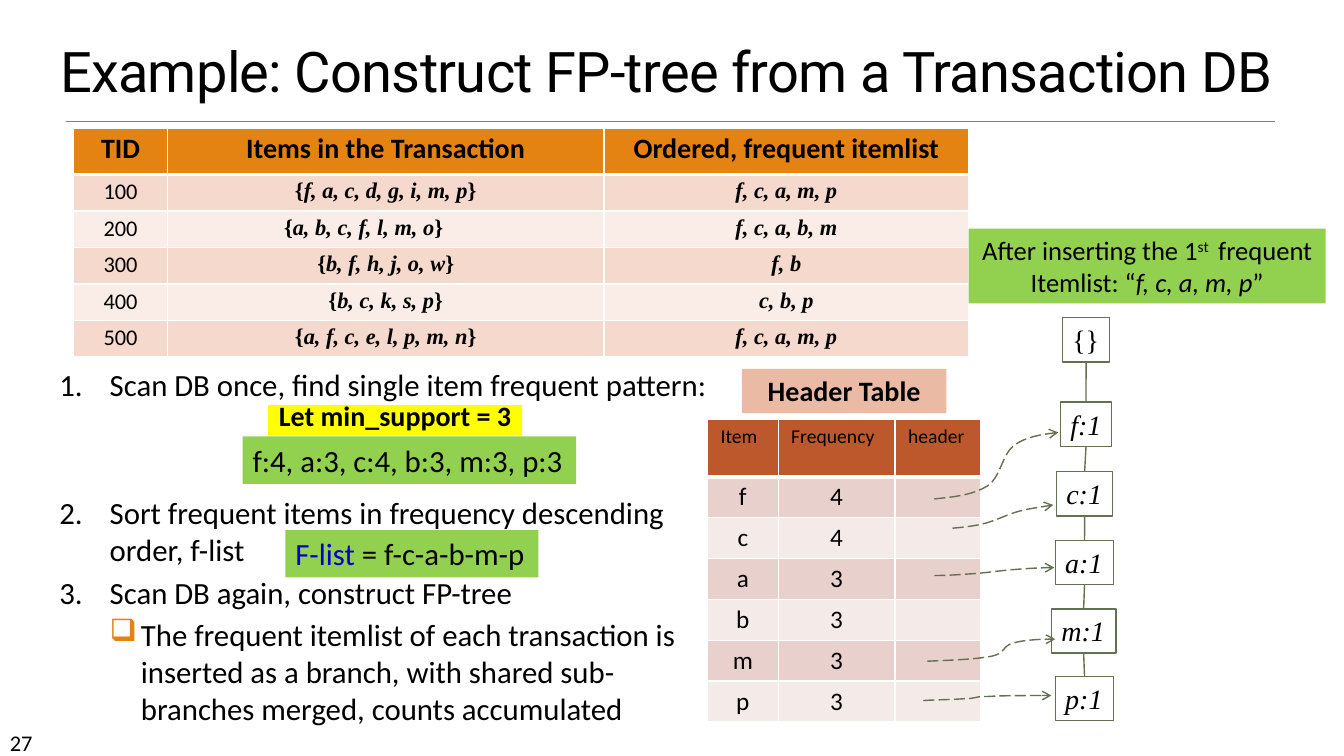
import lxml.etree
import pptx
import pptx.dml.color
import pptx.enum.dml
import pptx.enum.shapes
import pptx.enum.text
import pptx.oxml.ns
import pptx.util

Pt = pptx.util.Pt
qn = pptx.oxml.ns.qn
add_xml = lxml.etree.SubElement
CENTER = pptx.enum.text.PP_ALIGN.CENTER
RECTANGLE = pptx.enum.shapes.MSO_SHAPE.RECTANGLE
STRAIGHT = pptx.enum.shapes.MSO_CONNECTOR.STRAIGHT
SERIF = "Times New Roman"
GREEN, TREE_LINE = "92D050", "637052"


def colour(value):
    return pptx.dml.color.RGBColor.from_string(value)


def write(para, text, size=20, font="Calibri", color="000000", bold=False, italic=False):
    span = para.add_run()
    span.text = text
    span.font.size = Pt(size)
    span.font.name = font
    span.font.bold = bold
    span.font.italic = italic
    span.font.color.rgb = colour(color)
    return span


deck = pptx.Presentation()
deck.slide_width, deck.slide_height = Pt(960), Pt(540)
page = deck.slides.add_slide(deck.slide_layouts[6])
shapes = page.shapes

rule = shapes.add_connector(STRAIGHT, Pt(46.8), Pt(86.6), Pt(910.8), Pt(86.6))
rule.line.color.rgb = colour("808080")
rule.line.width = Pt(0.5)
add_xml(rule._element.spPr, qn("a:effectLst"))

number = shapes.add_textbox(Pt(0), Pt(517), Pt(84), Pt(21.6))
number.text_frame.word_wrap = True
write(number.text_frame.paragraphs[0], "27", size=16)

title = shapes.add_textbox(Pt(15.8), Pt(23.8), Pt(920), Pt(54))
title.text_frame.word_wrap = True
title.text_frame.vertical_anchor = pptx.enum.text.MSO_ANCHOR.BOTTOM
para = title.text_frame.paragraphs[0]
para.alignment = CENTER
para.line_spacing = 0.85
span = write(para, "Example: Construct FP-tree from a Transaction DB", size=40, font="Roboto")
span._r.get_or_add_rPr().set("spc", "-50")

steps = shapes.add_textbox(Pt(35.3), Pt(257.8), Pt(478), Pt(277))
steps.text_frame.word_wrap = True
step_texts = [
    ("Scan DB once, find single item frequent pattern:", 4, True),
    ("Sort frequent items in frequency descending order, f-list", 65, True),
    ("Scan DB again, construct FP-tree", 4, True),
    ("The frequent itemlist of each transaction is inserted as a branch, "
     "with shared sub-branches merged, counts accumulated", 4, False),
]
for index, (text, gap, numbered) in enumerate(step_texts):
    para = steps.text_frame.add_paragraph() if index else steps.text_frame.paragraphs[0]
    para.space_before = Pt(gap)
    para.level = 0 if numbered else 1
    write(para, text, size=22)
    props = para._p.get_or_add_pPr()
    props.set("marL", str(Pt(36 if numbered else 58.3)))
    props.set("indent", str(Pt(-36 if numbered else -22.3)))
    if numbered:
        add_xml(props, qn("a:buAutoNum"), type="arabicPeriod")
    else:
        add_xml(add_xml(props, qn("a:buClr")), qn("a:srgbClr"), val="E48312")
        add_xml(props, qn("a:buChar"), char="❑")

transactions = [
    ["TID", "Items in the Transaction", "Ordered, frequent itemlist"],
    ["100", "{f, a, c, d, g, i, m, p}", "f, c, a, m, p"],
    ["200", "{a, b, c, f, l, m, o}", "f, c, a, b, m"],
    ["300", "{b, f, h, j, o, w}", "f, b"],
    ["400", "{b, c, k, s, p}", "c, b, p"],
    ["500", "{a, f, c, e, l, p, m, n}", "f, c, a, m, p"],
]
header_rows = [
    ["Item", "Frequency", "header"],
    ["f", "4", ""], ["c", "4", ""], ["a", "3", ""],
    ["b", "3", ""], ["m", "3", ""], ["p", "3", ""],
]
tables = [
    (header_rows, 505.4, 299.5, [50.4, 83.5, 61.2], 41, 29.2, 3.6,
     ["BD582C", "E8D1CD", "F4EAE8"], dict(size=14), dict(size=18)),
    (transactions, 52.6, 91.6, [67, 311.8, 260.6], 33.1, 26.1, 2.9,
     ["E48312", "F5D9CC", "FAEDE7"], dict(size=20, bold=True), dict(size=16)),
]
for rows, left, top, widths, head_height, row_height, inset, fills, head_format, body_format in tables:
    height = head_height + row_height * (len(rows) - 1)
    table = shapes.add_table(len(rows), 3, Pt(left), Pt(top), Pt(sum(widths)), Pt(height)).table
    for column, width in zip(table.columns, widths):
        column.width = Pt(width)
    for r, texts in enumerate(rows):
        table.rows[r].height = Pt(row_height if r else head_height)
        for c, text in enumerate(texts):
            cell = table.cell(r, c)
            cell.margin_left = cell.margin_right = Pt(9.4)
            cell.margin_top = cell.margin_bottom = Pt(inset)
            for side in "LRTB":
                thick = (r == 0 and side == "B") or (r == 1 and side == "T")
                border = add_xml(cell._tc.get_or_add_tcPr(), qn("a:ln" + side), w=str(Pt(3 if thick else 1)))
                add_xml(add_xml(border, qn("a:solidFill")), qn("a:srgbClr"), val="FFFFFF")
            cell.fill.solid()
            cell.fill.fore_color.rgb = colour(fills[0 if r == 0 else 2 - r % 2])
            para = cell.text_frame.paragraphs[0]
            if r or rows is transactions:
                para.alignment = CENTER
            if r and c and rows is transactions:
                braced = text.startswith("{")
                parts = ["{", text.strip("{}"), "}"] if braced else [text]
                for part in parts:
                    write(para, part, size=16, font=SERIF, bold=True, italic=part not in "{}")
            elif text:
                write(para, text, **(body_format if r else head_format))
table.cell(2, 1).margin_right = Pt(41)

boxes = [
    (203.8, 378.7, 180.7, 33.8, GREEN, False, 1,
     [[("F-list ", dict(size=22, color="0000CC")), ("= f-c-a-b-m-p", dict(size=22))]]),
    (173.3, 311.8, 238.3, 33.8, GREEN, False, 1,
     [[("f:4, a:3, c:4, b:3, m:3, p:3", dict(size=22))]]),
    (529.9, 263.5, 146.2, 31.7, "EABAA5", True, 1, [[("Header Table", dict(bold=True))]]),
    (191.5, 289.4, 181.4, 21.6, "FFFF00", True, 0.6, [[("Let min_support = 3", dict(bold=True))]]),
    (692, 163.4, 254.9, 53.3, GREEN, True, 1,
     [[("After inserting the 1", dict(size=19)), ("st ", dict(size=19)), (" frequent", dict(size=19))],
      [("Itemlist: “", dict(size=19)), ("f, c, a, m, p", dict(size=19, italic=True)), ("”", dict(size=19))]]),
]
node_places = [
    ("{}", 758.9, 226.8, 33.8), ("f:1", 757.4, 287.3, 36.7), ("c:1", 754.6, 337, 40.3),
    ("a:1", 753.8, 385.9, 41.8), ("m:1", 751, 434.9, 46.1), ("p:1", 753.8, 483.1, 41.8),
]
boxes += [
    (left, top, width, 31.7, None, False, 1, [[(text, dict(font=SERIF, italic=text != "{}"))]])
    for text, left, top, width in node_places
]
nodes = []
for left, top, width, height, fill, centred, spacing, paragraphs in boxes:
    box = shapes.add_shape(RECTANGLE, Pt(left), Pt(top), Pt(width), Pt(height))
    box.shadow.inherit = False
    if fill:
        box.fill.solid()
        box.fill.fore_color.rgb = colour(fill)
        box.line.fill.background()
    else:
        box.fill.background()
        box.line.color.rgb = colour(TREE_LINE)
        box.line.width = Pt(1)
        nodes.append(box)
    frame = box.text_frame
    frame.word_wrap = centred
    frame.vertical_anchor = pptx.enum.text.MSO_ANCHOR.TOP
    for index, spans in enumerate(paragraphs):
        para = frame.add_paragraph() if index else frame.paragraphs[0]
        para.alignment = CENTER if centred else pptx.enum.text.PP_ALIGN.LEFT
        para.line_spacing = spacing
        for text, text_format in spans:
            span = write(para, text, **text_format)
            if text == "st ":
                span._r.get_or_add_rPr().set("baseline", "30000")

for parent, child in zip(nodes, nodes[1:]):
    branch = shapes.add_connector(STRAIGHT, 0, 0, 0, 0)
    branch.begin_connect(parent, 2)
    branch.end_connect(child, 0)
    branch.line.color.rgb = colour(TREE_LINE)
    branch.line.width = Pt(1)
    add_xml(branch._element.spPr, qn("a:effectLst"))

header_links = [
    [(667.4, 356.4), (681.8, 355), (695.5, 353.5), (705.6, 347), (715, 340.6),
     (715.7, 324.7), (724.3, 318.2), (733, 311.8), (744.5, 310.3), (756, 308.9)],
    [(680.4, 377.3), (688.3, 376.6), (696.2, 375.8), (704.2, 373.7), (712.1, 371.5),
     (720, 367.2), (728.6, 365), (736.6, 362.9), (744.5, 362.2), (752.4, 360.7)],
    [(667.4, 411.1), (676.8, 411.1), (686.2, 410.4), (696.2, 409.7), (705.6, 409),
     (715, 407.5), (724.3, 406.8), (733.7, 406.1), (743.8, 405.4), (753.1, 405.4)],
    [(662.4, 472.3), (680.4, 471.6), (697.7, 470.9), (708.5, 468.7), (718.6, 466.6),
     (715.7, 461.5), (723.6, 459.4), (730.8, 457.2), (742.3, 456.5), (753.8, 456.5)],
    [(659.5, 500.4), (671, 499.7), (682.6, 499.7), (689.8, 499), (697.7, 499),
     (694.8, 497.5), (705.6, 497.5), (715.7, 496.8), (733.7, 496.8), (751, 496.8)],
]
for points in header_links:
    curve = []
    for start in (0, 3, 6):
        for step in range(1, 9):
            t = step / 8
            weights = ((1 - t) ** 3, 3 * t * (1 - t) ** 2, 3 * t * t * (1 - t), t ** 3)
            curve.append([Pt(sum(w * p[axis] for w, p in zip(weights, points[start:start + 4])))
                          for axis in (0, 1)])
    builder = shapes.build_freeform(Pt(points[0][0]), Pt(points[0][1]))
    builder.add_line_segments(curve, close=False)
    link = builder.convert_to_shape()
    link.shadow.inherit = False
    link.fill.background()
    link.line.color.rgb = colour(TREE_LINE)
    link.line.width = Pt(1)
    link.line.dash_style = pptx.enum.dml.MSO_LINE.LONG_DASH
    add_xml(link.line._get_or_add_ln(), qn("a:tailEnd"), type="arrow")

deck.save("out.pptx")
